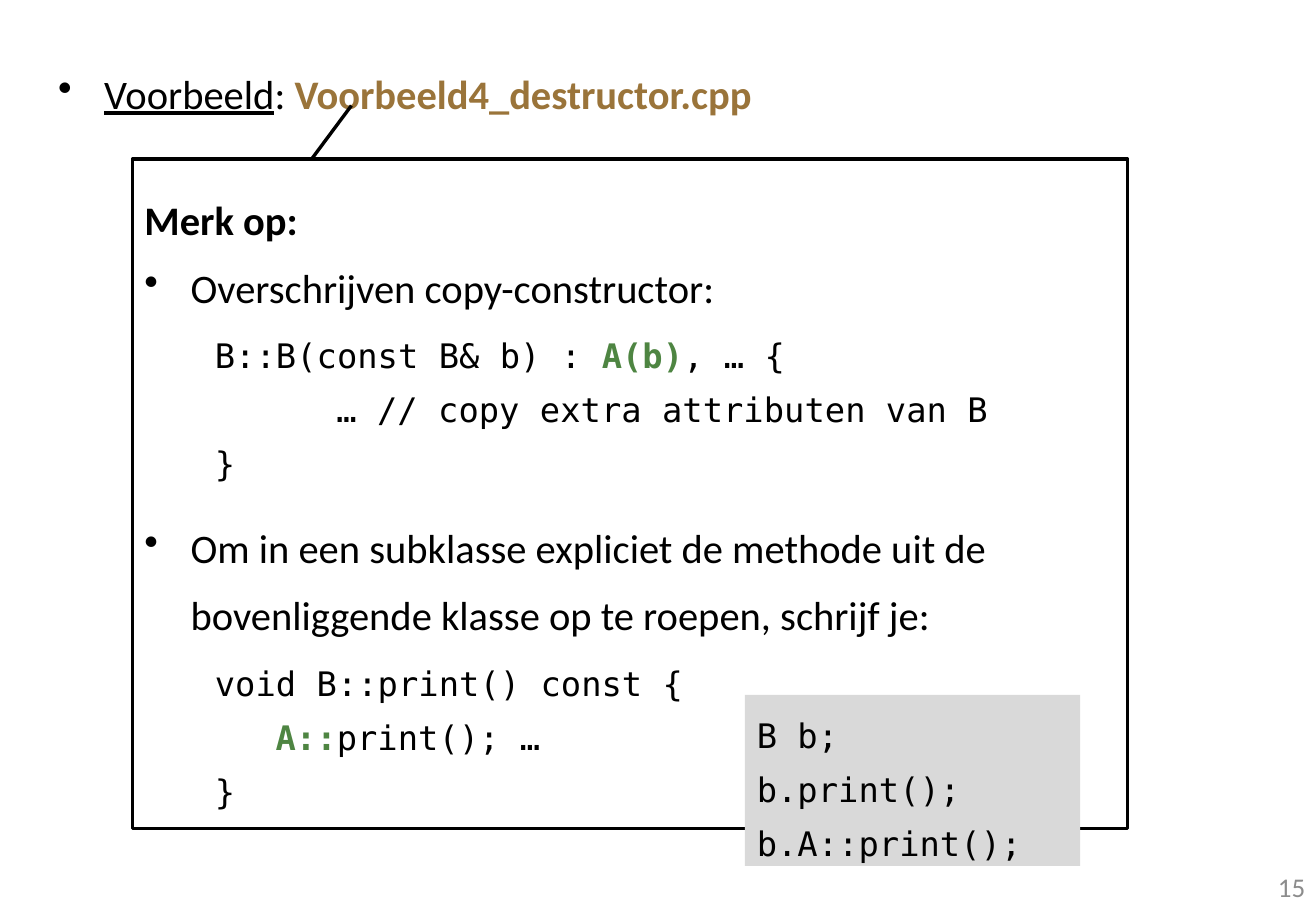
from pptx import Presentation
from pptx.dml.color import RGBColor
from pptx.enum.shapes import MSO_SHAPE
from pptx.enum.text import MSO_ANCHOR, PP_ALIGN
from pptx.oxml.ns import qn
from pptx.util import Inches, Pt

BLACK, GREEN, BROWN, GREY = "000000", "4E8542", "9A743A", "8C8C8C"
BODY, CODE = ("Calibri", 24, 40), ("DejaVu Sans Mono", 20, 32)


def paint(target, color):
    """Give a font or fill a solid colour."""
    fill = getattr(target, "fill", target)
    fill.solid()
    fill.fore_color.rgb = RGBColor.from_string(color)


def add_para(frame, runs, style=BODY, indent=0, bullet=False, before=0):
    """Add a paragraph of (text, colour, bold) runs and return it."""
    para = frame.paragraphs[0]
    if para.runs:
        para = frame.add_paragraph()
    font, size, pitch = style
    para.font.name, para.font.size = font, Pt(size)
    para.alignment = PP_ALIGN.LEFT
    para.line_spacing, para.space_before = Pt(pitch), Pt(before)
    props = para._p.get_or_add_pPr()
    props.set("marL", str(Inches(indent)))
    props.set("indent", str(Inches(-indent if bullet else 0)))
    if bullet:
        mark = props.makeelement(qn("a:buChar"), {"char": "•"})
        props.find(qn("a:defRPr")).addprevious(mark)
    for text, color, bold in runs:
        run = para.add_run()
        run.text, run.font.bold = text, bold
        paint(run.font, color)
    return para


def plain(text):
    """Return one regular black run."""
    return [(text, BLACK, False)]


def add_title(slide, box):
    """Place the bulleted example heading."""
    frame = slide.shapes.add_textbox(*map(Inches, box)).text_frame
    frame.word_wrap = True
    runs = plain("Voorbeeld") + plain(": ") + [("Voorbeeld4_destructor.cpp", BROWN, True)]
    para = add_para(frame, runs, indent=0.38, bullet=True)
    para.runs[0].font.underline = True


def add_note(slide, box):
    """Place the callout with remarks and code."""
    note = slide.shapes.add_shape(MSO_SHAPE.LINE_CALLOUT_1, *map(Inches, box))
    for index, value in enumerate((0, 0.18, -0.08, 0.22)):
        note.adjustments[index] = value
    note.shadow.inherit = False
    note.fill.background()
    paint(note.line, BLACK)
    note.line.width = Pt(2)
    frame = note.text_frame
    frame.word_wrap, frame.vertical_anchor = True, MSO_ANCHOR.MIDDLE
    add_para(frame, [("Merk op:", BLACK, True)])
    copy = plain("B::B(const B& b) : ") + [("A(b)", GREEN, True)] + plain(", … {")
    call = [("A::", GREEN, True)] + plain("print(); …")
    parts = [
        ("Overschrijven copy-constructor:", 0, copy, 1.58,
         plain("… // copy extra attributen van B")),
        ("Om in een subklasse expliciet de methode uit de bovenliggende klasse "
         "op te roepen, schrijf je:", 12, plain("void B::print() const {"), 1.08, call),
    ]
    for text, before, head, inset, inner in parts:
        add_para(frame, plain(text), indent=0.38, bullet=True, before=before)
        add_para(frame, head, CODE, 0.58, before=6)
        add_para(frame, inner, CODE, inset)
        add_para(frame, plain("}"), CODE, 0.58)


def add_usage(slide, box):
    """Place the grey box with sample calls."""
    usage = slide.shapes.add_shape(MSO_SHAPE.RECTANGLE, *map(Inches, box))
    usage.shadow.inherit = False
    paint(usage, "D9D9D9")
    usage.line.fill.background()
    frame = usage.text_frame
    frame.word_wrap, frame.vertical_anchor = True, MSO_ANCHOR.TOP
    for line in ("B b;", "b.print();", "b.A::print();"):
        add_para(frame, plain(line), CODE)


def add_number(slide, box):
    """Place the slide number."""
    frame = slide.shapes.add_textbox(*map(Inches, box)).text_frame
    frame.word_wrap, frame.vertical_anchor = True, MSO_ANCHOR.MIDDLE
    para = add_para(frame, [("15", GREY, False)], ("Calibri", 16, 19))
    para.alignment = PP_ALIGN.RIGHT


def main():
    """Build and save the slide."""
    deck = Presentation()
    deck.slide_width, deck.slide_height = Inches(10.83), Inches(7.5)
    slide = deck.slides.add_slide(deck.slide_layouts[6])
    add_title(slide, (0.38, 0.36, 9.47, 0.94))
    add_note(slide, (1.09, 1.31, 8.19, 5.51))
    add_usage(slide, (6.13, 5.72, 2.76, 1.41))
    add_number(slide, (8.31, 7.1, 2.53, 0.4))
    deck.save("out.pptx")


if __name__ == "__main__":
    main()
